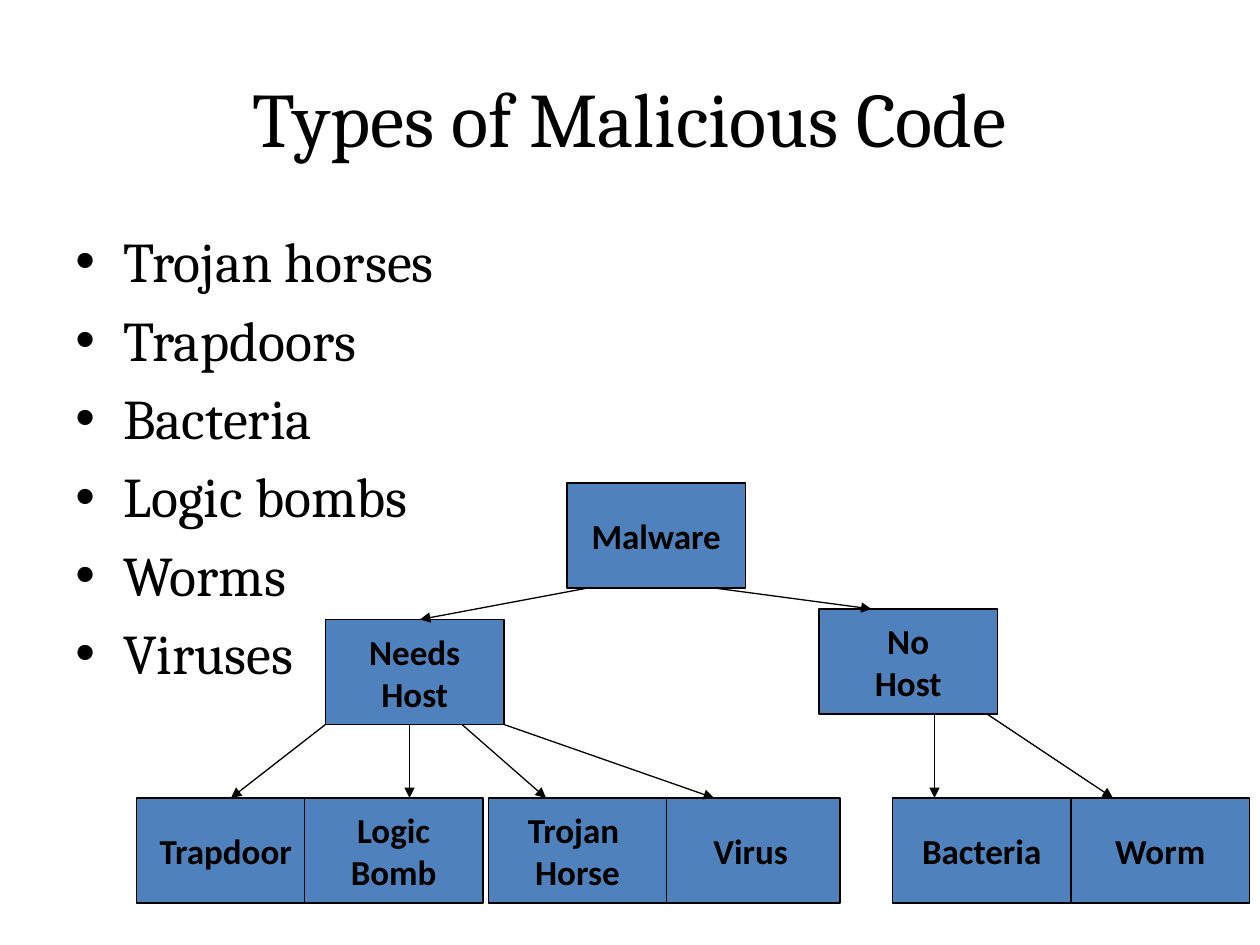
from dataclasses import dataclass

from lxml import etree
from pptx import Presentation
from pptx.dml.color import RGBColor
from pptx.enum import shapes, text
from pptx.oxml.ns import qn
from pptx.util import Inches, Pt

COLUMNS, ROWS = 120, 90
BOX_COLUMNS, BOX_ROWS = 17, 10
LEAF_ROW = 76
INK, BLUE = "000000", "4F81BD"


@dataclass(frozen=True)
class Node:
    lines: tuple[str, ...]
    column: float
    row: float = LEAF_ROW


@dataclass(frozen=True)
class Arrow:
    start: tuple[float, float]
    end: tuple[float, float]


TOPICS = ("Trojan horses", "Trapdoors", "Bacteria", "Logic bombs", "Worms", "Viruses")
NODES = (
    Node(("Trapdoor",), 13),
    Node(("Logic", "Bomb"), 29),
    Node(("Virus",), 63),
    Node(("Worm",), 102),
    Node(("Bacteria",), 85),
    Node(("No", "Host"), 78, 58),
    Node(("Needs", "Host"), 31, 59),
    Node(("Malware",), 54, 46),
    Node(("Trojan ", "Horse"), 46.5),
)
ARROWS = (
    Arrow((56, 56), (40, 59)),
    Arrow((68, 56), (83, 58)),
    Arrow((31, 69), (22, LEAF_ROW)),
    Arrow((39, 69), (39, LEAF_ROW)),
    Arrow((44, 69), (52, LEAF_ROW)),
    Arrow((48, 69), (68, LEAF_ROW)),
    Arrow((89, 68), (89, LEAF_ROW)),
    Arrow((94, 68), (106, LEAF_ROW)),
)

deck = Presentation()
deck.slide_width, deck.slide_height = Inches(10), Inches(7.5)
slide = deck.slides.add_slide(deck.slide_layouts[6])


def color(value: str) -> RGBColor:
    return RGBColor.from_string(value)


def across(column: float) -> int:
    return round(deck.slide_width * column / COLUMNS)


def down(row: float) -> int:
    return round(deck.slide_height * row / ROWS)


def write(frame, lines, font: str, size: float, align, bold: bool = False) -> None:
    for index, line in enumerate(lines):
        paragraph = frame.paragraphs[0] if index == 0 else frame.add_paragraph()
        paragraph.alignment = align
        run = paragraph.add_run()
        run.text = line
        run.font.name, run.font.size, run.font.bold = font, Pt(size), bold
        run.font.color.rgb = color(INK)


def add_text(column: float, row: float, columns: float, rows: float):
    frame = slide.shapes.add_textbox(
        across(column), down(row), across(columns), down(rows)
    ).text_frame
    frame.word_wrap = True
    return frame


def add_bullet(paragraph) -> None:
    properties = paragraph._p.get_or_add_pPr()
    properties.set("marL", str(Inches(0.38)))
    properties.set("indent", str(-Inches(0.38)))
    spacing = etree.SubElement(properties, qn("a:spcBef"))
    etree.SubElement(spacing, qn("a:spcPct"), val="20000")
    etree.SubElement(properties, qn("a:buFont"), typeface="Arial")
    etree.SubElement(properties, qn("a:buChar"), char="•")


def add_node(node: Node) -> None:
    box = slide.shapes.add_shape(
        shapes.MSO_SHAPE.RECTANGLE,
        across(node.column), down(node.row), across(BOX_COLUMNS), down(BOX_ROWS),
    )
    box.shadow.inherit = False
    box.fill.solid()
    box.fill.fore_color.rgb = color(BLUE)
    box.line.color.rgb = color(INK)
    box.line.width = Pt(0.75)
    box.text_frame.word_wrap = False
    box.text_frame.vertical_anchor = text.MSO_ANCHOR.MIDDLE
    write(box.text_frame, node.lines, "Calibri", 20, text.PP_ALIGN.CENTER, True)


def add_arrow(arrow: Arrow) -> None:
    (x1, y1), (x2, y2) = arrow.start, arrow.end
    link = slide.shapes.add_connector(
        shapes.MSO_CONNECTOR.STRAIGHT, across(x1), down(y1), across(x2), down(y2)
    )
    link.line.color.rgb = color(INK)
    link.line.width = Pt(0.75)
    etree.SubElement(link.line._get_or_add_ln(), qn("a:tailEnd"), type="triangle")
    etree.SubElement(link._element.spPr, qn("a:effectLst"))


def main() -> None:
    heading = add_text(6, 3.6, 108, 15)
    heading.vertical_anchor = text.MSO_ANCHOR.MIDDLE
    write(heading, ("Types of Malicious Code",), "Cambria", 44, text.PP_ALIGN.CENTER)

    topics = add_text(6, 21, 108, 59.4)
    write(topics, TOPICS, "Cambria", 32, text.PP_ALIGN.LEFT)
    for topic in topics.paragraphs:
        add_bullet(topic)

    *tree, trojan = NODES
    for node in tree:
        add_node(node)
    for arrow in ARROWS:
        add_arrow(arrow)
    add_node(trojan)
    deck.save("out.pptx")


if __name__ == "__main__":
    main()
